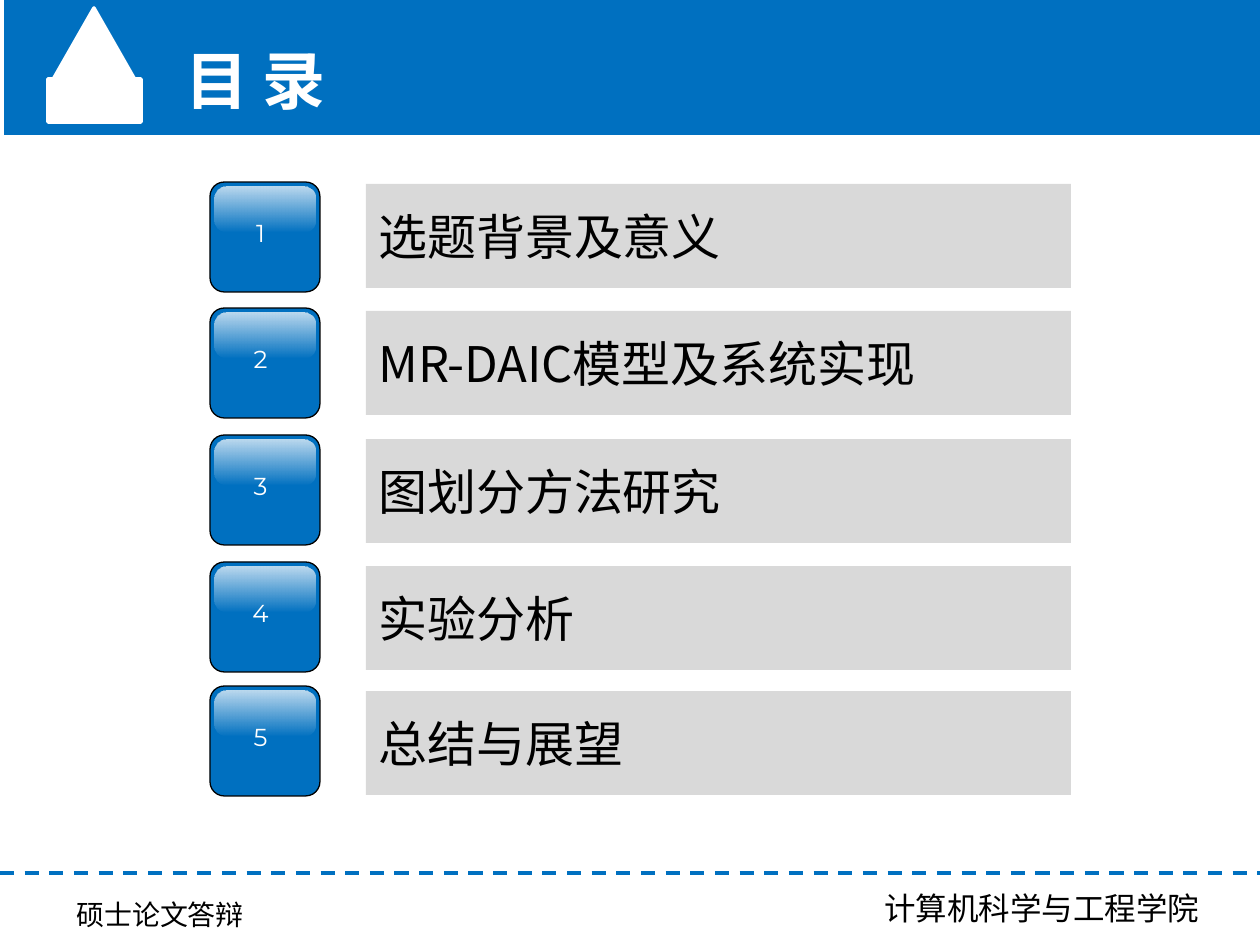
from dataclasses import dataclass

from lxml.etree import SubElement
from pptx import Presentation
from pptx.dml.color import RGBColor
from pptx.enum.dml import MSO_LINE_DASH_STYLE as Dash
from pptx.enum.shapes import MSO_CONNECTOR_TYPE as Connector, MSO_SHAPE as Shape
from pptx.enum.text import MSO_ANCHOR as Anchor, MSO_AUTO_SIZE as AutoSize, PP_ALIGN as Align
from pptx.oxml.ns import qn
from pptx.util import Pt

EMU_PER_PX = 914400 / 126
WIDTH, HEIGHT = 1260, 945


@dataclass(frozen=True)
class Theme:
    blue: str = "0070C0"
    white: str = "FFFFFF"
    black: str = "000000"
    gray: str = "D9D9D9"
    cjk: str = "Noto Sans CJK SC"
    cjk_school: str = "Noto Sans CJK JP"
    latin: str = "Montserrat"
    title: int = 36
    topic: int = 28
    school: int = 18
    footer: int = 16
    number: int = 14


def px(*lengths):
    return [round(length * EMU_PER_PX) for length in lengths]


def color(value):
    return RGBColor.from_string(value)


def write(shape, text, *, size, ink, font, bold=False, align=Align.LEFT,
          anchor=Anchor.TOP, wrap=False, spacing=None):
    frame = shape.text_frame
    frame.word_wrap = wrap
    frame.auto_size = AutoSize.NONE
    frame.vertical_anchor = anchor
    para = frame.paragraphs[0]
    para.alignment = align
    span = para.add_run()
    span.text = text
    span.font.size = Pt(size)
    span.font.bold = bold
    span.font.color.rgb = color(ink)
    span.font.name = font
    properties = span.font._element
    SubElement(properties, qn("a:ea")).set("typeface", font)
    if spacing is not None:
        properties.set("spc", str(round(spacing * 100)))


class SlideBuilder:
    def __init__(self, deck, theme):
        self.theme = theme
        self.slide = deck.slides.add_slide(deck.slide_layouts[5])

    def shape(self, kind, at, fill=None, line=None, weight=1, radius=None, parent=None):
        shape = (parent or self.slide).shapes.add_shape(kind, *px(*at))
        shape.shadow.inherit = False
        if fill:
            shape.fill.solid()
            shape.fill.fore_color.rgb = color(fill)
        if line:
            shape.line.color.rgb = color(line)
            shape.line.width = Pt(weight)
        else:
            shape.line.fill.background()
        if radius is not None:
            shape.adjustments[0] = radius
        return shape

    def text(self, text, at, parent=None, **style):
        box = (parent or self.slide).shapes.add_textbox(*px(*at))
        write(box, text, **style)

    def title(self, text, at, **style):
        title = self.slide.shapes.title
        title.left, title.top, title.width, title.height = px(*at)
        write(title, text, **style)
        # Bring the title in front of the header band
        title.element.getparent().append(title.element)

    def dashed_rule(self, y):
        rule = self.slide.shapes.add_connector(Connector.STRAIGHT, *px(0, y, WIDTH, y))
        rule.line.color.rgb = color(self.theme.blue)
        rule.line.width = Pt(2)
        rule.line.dash_style = Dash.DASH
        SubElement(rule.element.spPr, qn("a:effectLst"))

    def gloss(self, at, parent):
        gloss = self.shape(Shape.ROUNDED_RECTANGLE, at, radius=0.26, parent=parent)
        gloss.fill.gradient()
        gloss.fill.gradient_angle = 270
        for stop, position in zip(gloss.fill.gradient_stops, (0, 1)):
            stop.position = position
            stop.color.rgb = color(self.theme.white)
        for tint, opacity in zip(gloss.element.spPr.iter(qn("a:srgbClr")), (75, 0)):
            SubElement(tint, qn("a:alpha")).set("val", str(opacity * 1000))

    def number_tile(self, number, top):
        theme = self.theme
        tile = self.slide.shapes.add_group_shape()
        self.shape(Shape.ROUNDED_RECTANGLE, (210, top, 110, 110), theme.blue,
                   theme.black, 0.75, radius=0.13, parent=tile)
        self.text(str(number), (246, top + 30, 29, 50), parent=tile, size=theme.number,
                  ink=theme.white, font=theme.latin, align=Align.CENTER, spacing=-0.7)
        self.gloss((215, top + 5, 100, 44), tile)

    def topic_bar(self, text, top):
        theme = self.theme
        bar = self.shape(Shape.RECTANGLE, (366, top, 705, 104), theme.gray)
        write(bar, text, size=theme.topic, ink=theme.black, font=theme.cjk,
              anchor=Anchor.MIDDLE, wrap=True)


def main():
    deck = Presentation()
    deck.slide_width, deck.slide_height = px(WIDTH, HEIGHT)
    theme = Theme()
    page = SlideBuilder(deck, theme)

    # Header band with a plain house mark
    page.shape(Shape.RECTANGLE, (4, 0, WIDTH - 4, 135), theme.blue)
    page.shape(Shape.RECTANGLE, (48, 79, 93, 43), theme.white, theme.white, 2)
    page.shape(Shape.ISOSCELES_TRIANGLE, (50, 8, 88, 77), theme.white, theme.white, 2)
    page.title("目 录", (173, 35, 171, 89), size=theme.title, ink=theme.white,
               font=theme.cjk, bold=True)

    # Footer
    page.dashed_rule(873)
    page.text("硕士论文答辩", (64, 891, 195, 47), size=theme.footer,
              ink=theme.black, font=theme.cjk)
    page.text("计算机科学与工程学院", (872, 883, 344, 50), size=theme.school,
              ink=theme.black, font=theme.cjk_school)

    # Contents: topic, top of its number tile, top of its bar
    topics = [
        ("选题背景及意义", 182, 184),
        ("MR-DAIC模型及系统实现", 308, 311),
        ("图划分方法研究", 435, 439),
        ("实验分析", 562, 566),
        ("总结与展望", 686, 691),
    ]
    for number, (topic, tile_top, bar_top) in enumerate(topics, start=1):
        page.number_tile(number, tile_top)
        page.topic_bar(topic, bar_top)

    deck.save("out.pptx")


if __name__ == "__main__":
    main()
